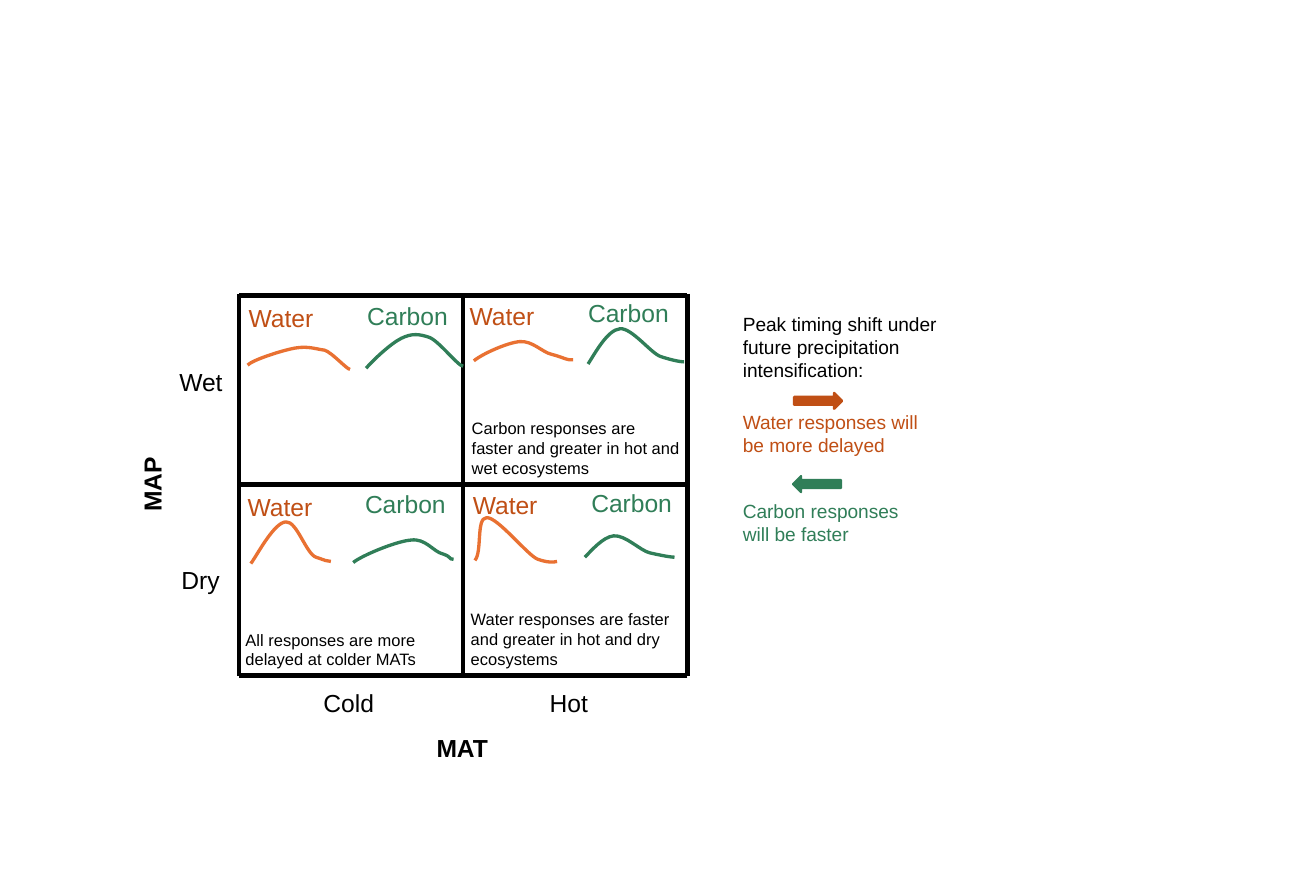
"""Builds the slide on water and carbon responses across MAT and MAP."""
from lxml import etree
from pptx import Presentation
from pptx.dml.color import RGBColor
from pptx.enum.shapes import MSO_CONNECTOR, MSO_SHAPE
from pptx.oxml.ns import qn
from pptx.util import Pt

STRAIGHT = MSO_CONNECTOR.STRAIGHT
RIGHT_ARROW = MSO_SHAPE.RIGHT_ARROW
BLANK_LAYOUT = 6
SCALE = 9144
BLACK, WATER, WATER_CURVE, CARBON = "000000", "C04F15", "E97132", "307E58"
LABEL_SIZE, KEY_SIZE, NOTE_SIZE = 16.6, 12.9, 11.1


def px(length):
    return length * SCALE


def color(value):
    return RGBColor.from_string(value)


class Board:
    def __init__(self, slide, font):
        self.slide = slide
        self.font = font

    def text(self, text, left, top, width, height, size=LABEL_SIZE,
             fill=BLACK, bold=False, rotation=0):
        shape = self.slide.shapes.add_textbox(px(left), px(top), px(width), px(height))
        shape.rotation = rotation
        frame = shape.text_frame
        frame.word_wrap = True
        frame.margin_left = frame.margin_right = px(9)
        frame.margin_top = frame.margin_bottom = px(5)
        run = frame.paragraphs[0].add_run()
        run.text = text
        run.font.name = self.font
        run.font.size = Pt(size)
        run.font.bold = bold
        run.font.color.rgb = color(fill)

    def line(self, left, top, right, bottom):
        connector = self.slide.shapes.add_connector(
            STRAIGHT, px(left), px(top), px(right), px(bottom))
        connector.line.color.rgb = color(BLACK)
        connector.line.width = Pt(3)
        etree.SubElement(connector.element.spPr, qn("a:effectLst"))

    def arrow(self, left, top, fill, rotation=0):
        shape = self.slide.shapes.add_shape(RIGHT_ARROW, px(left), px(top), px(45), px(15))
        shape.shadow.inherit = False
        shape.rotation = rotation
        shape.fill.solid()
        shape.fill.fore_color.rgb = color(fill)
        shape.line.color.rgb = color(fill)
        shape.line.width = Pt(1.5)

    def curve(self, points, stroke):
        builder = self.slide.shapes.build_freeform(*points[0], scale=SCALE)
        builder.add_line_segments(points[1:], close=False)
        shape = builder.convert_to_shape()
        shape.shadow.inherit = False
        shape.fill.background()
        shape.line.color.rgb = color(stroke)
        shape.line.width = Pt(2.25)
        outline = next(shape.element.iter(qn("a:path")))
        segments = outline.findall(qn("a:lnTo"))
        for start in range(0, len(segments), 3):
            bezier = etree.SubElement(outline, qn("a:cubicBezTo"))
            for segment in segments[start:start + 3]:
                bezier.append(segment[0])
                outline.remove(segment)


AXIS_LABELS = [
    ("Cold", 294, 639), ("Hot", 506, 639), ("Wet", 159, 339), ("Dry", 161, 524),
]

RESPONSES = [
    ("Water", 224, 279, [(232, 342), (237, 337), (265, 328), (277, 326), (289, 324),
                         (296, 327), (304, 328), (311, 330), (325, 346), (328, 346)]),
    ("Carbon", 335, 277, [(343, 345), (350, 337), (366, 322), (376, 317), (386, 312),
                          (393, 313), (402, 316), (411, 319), (430, 344), (434, 343)]),
    ("Water", 431, 277, [(444, 338), (451, 332), (475, 321), (487, 320), (499, 319),
                         (508, 330), (517, 332), (526, 334), (532, 338), (537, 337)]),
    ("Carbon", 542, 274, [(551, 341), (557, 332), (569, 309), (581, 308), (592, 307),
                          (610, 331), (619, 334), (628, 337), (637, 339), (641, 339)]),
    ("Water", 223, 456, [(235, 528), (241, 520), (257, 489), (268, 489), (278, 488),
                         (287, 519), (296, 522), (305, 525), (306, 526), (310, 526)]),
    ("Carbon", 333, 453, [(331, 527), (338, 521), (371, 507), (385, 506), (399, 504),
                          (406, 517), (415, 519), (424, 522), (420, 524), (425, 524)]),
    ("Water", 434, 454, [(445, 525), (452, 517), (446, 485), (456, 485), (466, 484),
                         (495, 521), (504, 524), (513, 527), (518, 527), (522, 526)]),
    ("Carbon", 545, 452, [(548, 522), (554, 516), (565, 503), (575, 502), (586, 501),
                          (600, 516), (609, 518), (618, 520), (628, 522), (632, 522)]),
]

RESPONSE_STYLES = {"Water": (91, WATER, WATER_CURVE), "Carbon": (105, CARBON, CARBON)}

NOTES = [
    ("All responses are more delayed at colder MATs", 221, 585, 197, 47),
    ("Water responses are faster and greater in hot and dry ecosystems", 432, 566, 209, 66),
    ("Carbon responses are faster and greater in hot and wet ecosystems", 433, 387, 214, 66),
]

KEY = [
    ("Peak timing shift under future precipitation intensification:", 288, 214, 75, BLACK),
    ("Water responses will be more delayed", 380, 205, 54, WATER),
    ("Carbon responses will be faster", 463, 184, 54, CARBON),
]


def main():
    presentation = Presentation()
    presentation.slide_width = px(1233)
    presentation.slide_height = px(830)
    slide = presentation.slides.add_slide(presentation.slide_layouts[BLANK_LAYOUT])
    board = Board(slide, "Arial")

    for x in (224, 434, 644):
        board.line(x, 275, x, 633)
    for y in (277, 454, 633):
        board.line(644, y, 224, y)

    board.text("MAP", 97, 424, 91, 38, bold=True, rotation=270)
    board.text("MAT", 400, 682, 91, 38, bold=True)
    for label, left, top in AXIS_LABELS:
        board.text(label, left, top, 91, 38)

    for name, left, top, points in RESPONSES:
        width, fill, stroke = RESPONSE_STYLES[name]
        board.text(name, left, top, width, 38, fill=fill)
        board.curve(points, stroke)

    for note, left, top, width, height in NOTES:
        board.text(note, left, top, width, height, size=NOTE_SIZE)

    for entry, top, width, height, fill in KEY:
        board.text(entry, 687, top, width, height, size=KEY_SIZE, fill=fill)
    board.arrow(744, 368, WATER)
    board.arrow(743, 446, CARBON, rotation=180)

    presentation.save("out.pptx")


if __name__ == "__main__":
    main()
